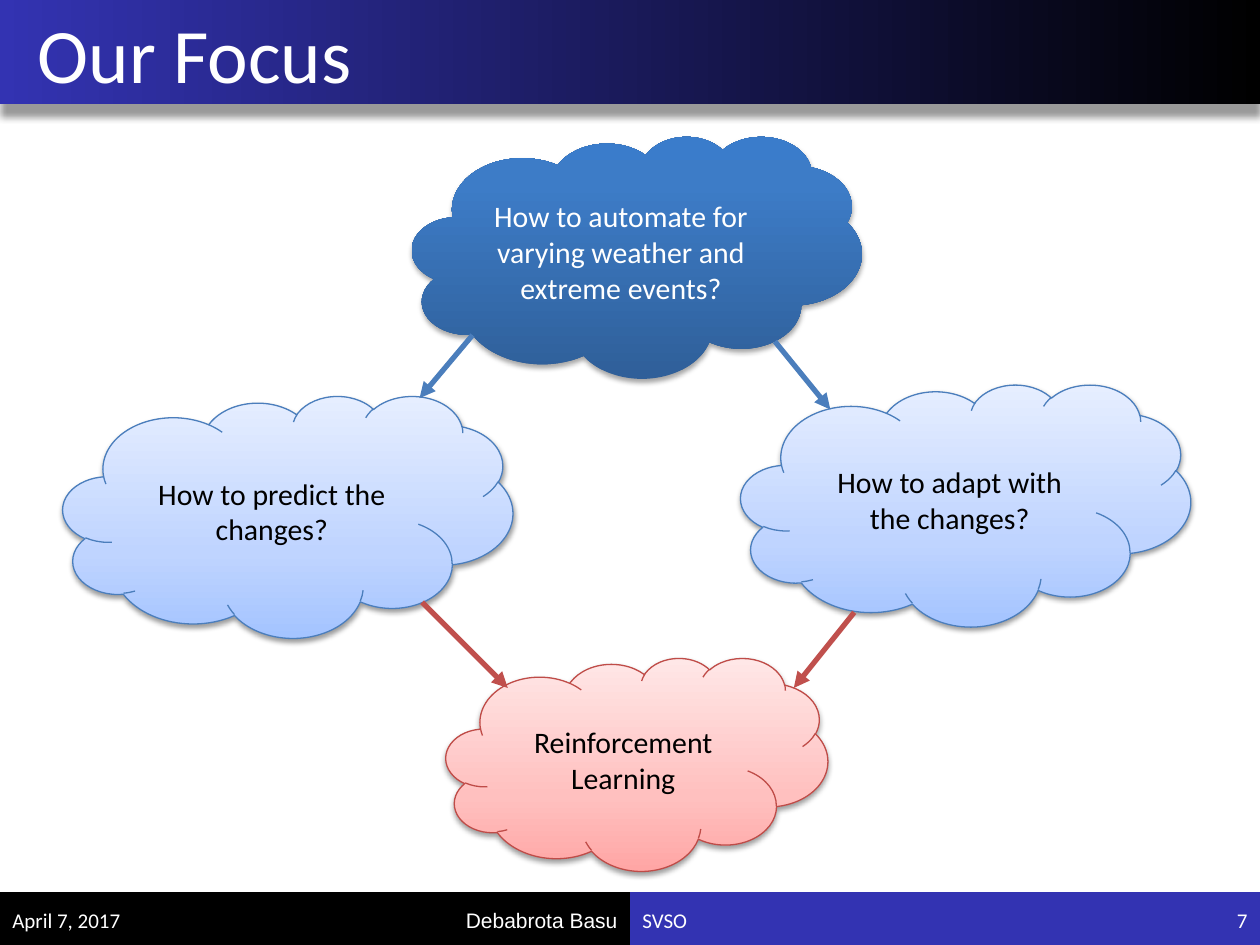
from lxml.etree import SubElement
from pptx import Presentation
from pptx.dml.color import RGBColor
from pptx.enum.shapes import MSO_CONNECTOR, MSO_SHAPE
from pptx.enum.text import MSO_ANCHOR, PP_ALIGN
from pptx.oxml.ns import qn
from pptx.util import Inches, Pt

COLUMNS, ROWS = 100, 75
CELL = Inches(0.1)
HEADER_HEIGHT = 8.3
FOOTER_TOP, FOOTER_HEIGHT = 70.8, 4.2
FOOTER_TEXT_TOP, FOOTER_TEXT_HEIGHT = 71, 4
NARROW, WIDE = 11.7, 38.3
HALF = COLUMNS / 2

BLACK, WHITE, INDIGO = "000000", "FFFFFF", "3333B2"
BLUE, RED, DARK_RED = "4B7EBC", "C0504D", "BF4C48"
DEEP_BLUE_STOPS = [(0, "2F5F99"), (80, "3D7CC7"), (100, "3A7CCB")]
PALE_BLUE_STOPS = [(0, "A4C4FF"), (35, "BFD4FF"), (100, "E6EEFF")]
PALE_RED_STOPS = [(0, "FFA6A5"), (35, "FFC0BF"), (100, "FFE7E7")]


def cells(*counts):
    """Turn grid counts into slide lengths."""
    return [round(count * CELL) for count in counts]


def color(hex_text):
    """Turn a hex string into a colour."""
    return RGBColor.from_string(hex_text)


def write(shape, text, size, hex_text, align=PP_ALIGN.LEFT, font="Calibri"):
    """Put vertically centred, wrapped text into a shape."""
    frame = shape.text_frame
    frame.word_wrap = True
    frame.vertical_anchor = MSO_ANCHOR.MIDDLE
    frame.text = text
    para = frame.paragraphs[0]
    para.alignment = align
    span = para.runs[0]
    span.font.size = Pt(size)
    span.font.name = font
    span.font.color.rgb = color(hex_text)


def add_label(page, place, text, size=12, **style):
    """Add a white text box."""
    box = page.shapes.add_textbox(*cells(*place))
    write(box, text, size, WHITE, **style)
    return box


def add_plain_shape(page, kind, place):
    """Add a preset shape without outline or shadow."""
    shape = page.shapes.add_shape(kind, *cells(*place))
    shape.shadow.inherit = False
    shape.line.fill.background()
    return shape


def add_bar(page, place, hex_text):
    """Add a solid rectangle."""
    bar = add_plain_shape(page, MSO_SHAPE.RECTANGLE, place)
    bar.fill.solid()
    bar.fill.fore_color.rgb = color(hex_text)


def set_gradient(shape, stops, angle):
    """Fill a shape with a linear gradient of any number of stops."""
    shape.fill.gradient()
    shape.fill.gradient_angle = angle
    stop_list = shape.element.spPr.find(".//" + qn("a:gsLst"))
    for stop in list(stop_list):
        stop_list.remove(stop)
    for percent, hex_text in stops:
        stop = SubElement(stop_list, qn("a:gs"), pos=str(percent * 1000))
        SubElement(stop, qn("a:srgbClr"), val=hex_text)


def set_shadow(shape, opacity, blur, distance):
    """Give a shape a soft black shadow straight below it."""
    effects = shape.element.spPr.find(qn("a:effectLst"))
    shadow = SubElement(effects, qn("a:outerShdw"), blurRad=str(Pt(blur)),
                        dist=str(Pt(distance)), dir="5400000", rotWithShape="0")
    tint = SubElement(shadow, qn("a:srgbClr"), val=BLACK)
    SubElement(tint, qn("a:alpha"), val=str(opacity * 1000))


def add_header(page, title):
    """Add the gradient title bar and its title."""
    place = (0, 0, COLUMNS, HEADER_HEIGHT)
    bar = add_plain_shape(page, MSO_SHAPE.RECTANGLE, place)
    set_gradient(bar, [(0, BLACK), (100, INDIGO)], 180)
    set_shadow(bar, 40, 4, 7)
    box = add_label(page, (0, 0, 97.5, HEADER_HEIGHT), title, 44)
    box.text_frame.margin_left = Inches(0.3)


def add_footer(page):
    """Add the two-tone footer and its four labels."""
    for left, hex_text in ((HALF, INDIGO), (0, BLACK)):
        add_bar(page, (left, FOOTER_TOP, HALF, FOOTER_HEIGHT), hex_text)
    labels = [
        (0, NARROW, "April 7, 2017", {}),
        (NARROW, WIDE, "Debabrota Basu", {"align": PP_ALIGN.RIGHT, "font": "Arial"}),
        (HALF, WIDE, "SVSO", {}),
        (HALF + WIDE, NARROW, "7", {"align": PP_ALIGN.RIGHT}),
    ]
    for left, width, text, style in labels:
        place = (left, FOOTER_TEXT_TOP, width, FOOTER_TEXT_HEIGHT)
        add_label(page, place, text, **style)


def add_cloud(page, place, text, stops, outline=None):
    """Add a shaded cloud, dark and unlined when it has no outline colour."""
    cloud = add_plain_shape(page, MSO_SHAPE.CLOUD, place)
    set_gradient(cloud, stops, 90)
    if outline:
        cloud.line.color.rgb = color(outline)
        cloud.line.width = Pt(0.75)
        set_shadow(cloud, 38, 3.1, 1.6)
    else:
        set_shadow(cloud, 35, 3.1, 1.8)
    write(cloud, text, 17, BLACK if outline else WHITE, PP_ALIGN.CENTER)


def add_arrow(page, start, end, hex_text):
    """Add a straight arrow between two grid points."""
    arrow = page.shapes.add_connector(MSO_CONNECTOR.STRAIGHT, *cells(*start, *end))
    arrow.line.color.rgb = color(hex_text)
    arrow.line.width = Pt(3)
    SubElement(arrow.line._get_or_add_ln(), qn("a:tailEnd"), type="triangle")
    SubElement(arrow.element.spPr, qn("a:effectLst"))


def main():
    """Build the slide and save it."""
    deck = Presentation()
    deck.slide_width, deck.slide_height = cells(COLUMNS, ROWS)
    page = deck.slides.add_slide(deck.slide_layouts[6])
    add_footer(page)
    add_header(page, "Our Focus")

    large = (35.7, 19.2)
    add_cloud(page, (32.7, 10.8, *large),
              "How to automate for varying weather and extreme events?", DEEP_BLUE_STOPS)
    add_cloud(page, (5, 31.4, *large), "How to predict the changes?",
              PALE_BLUE_STOPS, BLUE)
    add_cloud(page, (58.8, 30.5, *large), "How to adapt with the changes?",
              PALE_BLUE_STOPS, BLUE)
    add_cloud(page, (35.4, 52.2, 30.3, 16.9), "Reinforcement Learning",
              PALE_RED_STOPS, DARK_RED)

    arrows = [
        ((37.5, 26.6), (33.3, 31.6), BLUE),
        ((61.5, 27.1), (65.9, 32.5), BLUE),
        ((67.8, 48.6), (63, 54.6), RED),
        ((33.5, 47.8), (40.3, 54.6), RED),
    ]
    for start, end, hex_text in arrows:
        add_arrow(page, start, end, hex_text)
    deck.save("out.pptx")


if __name__ == "__main__":
    main()
